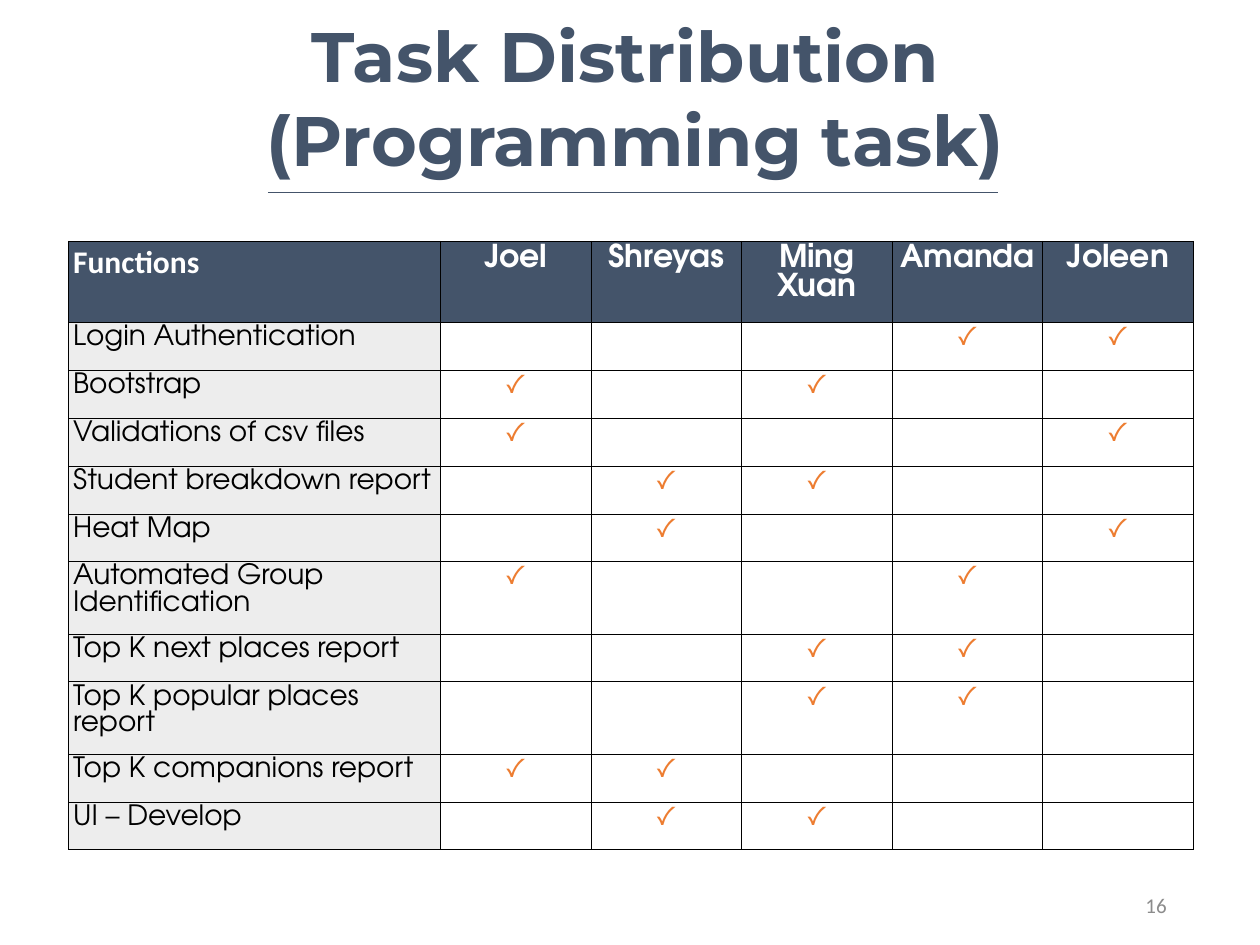
from lxml import etree
from pptx import Presentation
from pptx.dml.color import RGBColor
from pptx.enum.shapes import MSO_CONNECTOR
from pptx.enum.text import MSO_ANCHOR, PP_ALIGN
from pptx.oxml.ns import qn
from pptx.util import Cm, Pt

LEFT, MID, RIGHT = PP_ALIGN.LEFT, PP_ALIGN.CENTER, PP_ALIGN.RIGHT
STRAIGHT = MSO_CONNECTOR.STRAIGHT
CENTRED = MSO_ANCHOR.MIDDLE

TITLE = ["Task Distribution ", "(Programming task)"]
PAGE = "16"
HEAD = "Functions"
TEAM = ["Joel", "Shreyas", "Ming Xuan", "Amanda", "Joleen"]
TASKS = [
    ("Login Authentication", ["Amanda", "Joleen"]),
    ("Bootstrap", ["Joel", "Ming Xuan"]),
    ("Validations of csv files", ["Joel", "Joleen"]),
    ("Student breakdown report", ["Shreyas", "Ming Xuan"]),
    ("Heat Map", ["Shreyas", "Joleen"]),
    ("Automated Group Identification", ["Joel", "Amanda"]),
    ("Top K next places report", ["Ming Xuan", "Amanda"]),
    ("Top K popular places report", ["Ming Xuan", "Amanda"]),
    ("Top K companions report", ["Joel", "Shreyas"]),
    ("UI – Develop", ["Shreyas", "Ming Xuan"]),
]
TICK = "✓"
NAVY, PALE, WHITE, BLACK = "44546A", "EDEDED", "FFFFFF", "000000"
ORANGE, GREY = "ED7D31", "8C8C8C"
BODY, PLAIN = "TeX Gyre Adventor", "Calibri"
FIRST_COL, TEAM_COL = 14.99, 6.07
HEAD_ROW, TASK_ROW, TALL_ROW = 3.27, 1.93, 2.9
LINE_CHARS = 24


def color(code):
    return RGBColor.from_string(code)


def style(para, size, face, code, bold, align):
    para.alignment = align
    font = para.font
    font.size, font.name, font.bold = Pt(size), face, bold
    font.color.rgb = color(code)


def add_text(slide, box, lines, size, face, code, bold, align, wrap):
    frame = slide.shapes.add_textbox(*map(Cm, box)).text_frame
    frame.word_wrap = wrap
    frame.vertical_anchor = CENTRED
    frame.text = "\n".join(lines)
    for para in frame.paragraphs:
        style(para, size, face, code, bold, align)


def add_border(cell):
    props = cell._tc.get_or_add_tcPr()
    for spot, side in enumerate(("lnL", "lnR", "lnT", "lnB")):
        line = etree.Element(qn(f"a:{side}"), w=str(Pt(1)))
        fill = etree.SubElement(line, qn("a:solidFill"))
        etree.SubElement(fill, qn("a:srgbClr"), val=BLACK)
        props.insert(spot, line)


def fill_cell(cell, text, back, size, face, code, bold, align):
    cell.margin_left = cell.margin_right = Cm(0.18)
    cell.margin_top = cell.margin_bottom = Cm(0.1)
    cell.fill.solid()
    cell.fill.fore_color.rgb = color(back)
    add_border(cell)
    cell.text = text
    style(cell.text_frame.paragraphs[0], size, face, code, bold, align)


def add_grid(slide):
    widths = [FIRST_COL] + [TEAM_COL] * len(TEAM)
    heights = [HEAD_ROW] + [
        TALL_ROW if len(task) > LINE_CHARS else TASK_ROW for task, _ in TASKS
    ]
    table = slide.shapes.add_table(
        len(heights), len(widths), Cm(2.77), Cm(9.73),
        Cm(sum(widths)), Cm(sum(heights)),
    ).table
    table.horz_banding = False
    for col, width in zip(table.columns, widths):
        col.width = Cm(width)
    for row, height in zip(table.rows, heights):
        row.height = Cm(height)

    fill_cell(table.cell(0, 0), HEAD, NAVY, 36, PLAIN, WHITE, True, LEFT)
    for c, name in enumerate(TEAM, 1):
        fill_cell(table.cell(0, c), name, NAVY, 36, BODY, WHITE, True, MID)
    for r, (task, owners) in enumerate(TASKS, 1):
        fill_cell(table.cell(r, 0), task, PALE, 32, BODY, BLACK, False, LEFT)
        for c, name in enumerate(TEAM, 1):
            mark = TICK if name in owners else ""
            fill_cell(table.cell(r, c), mark, WHITE, 32, BODY, ORANGE, False, MID)


def add_rule(slide):
    rule = slide.shapes.add_connector(
        STRAIGHT, Cm(10.8), Cm(7.77), Cm(40.23), Cm(7.77)
    )
    rule.line.color.rgb = color(NAVY)
    rule.line.width = Pt(0.5)
    etree.SubElement(rule._element.spPr, qn("a:effectLst"))


def main():
    deck = Presentation()
    deck.slide_width, deck.slide_height = Cm(50.8), Cm(38.1)
    slide = deck.slides.add_slide(deck.slide_layouts[6])
    add_text(slide, (35.86, 35.46, 11.43, 2.03), [PAGE],
             24, PLAIN, GREY, False, RIGHT, True)
    add_text(slide, (10.26, 0.33, 30.71, 7.09), TITLE,
             80, "Montserrat", NAVY, True, MID, False)
    add_rule(slide)
    add_grid(slide)
    deck.save("out.pptx")


if __name__ == "__main__":
    main()
